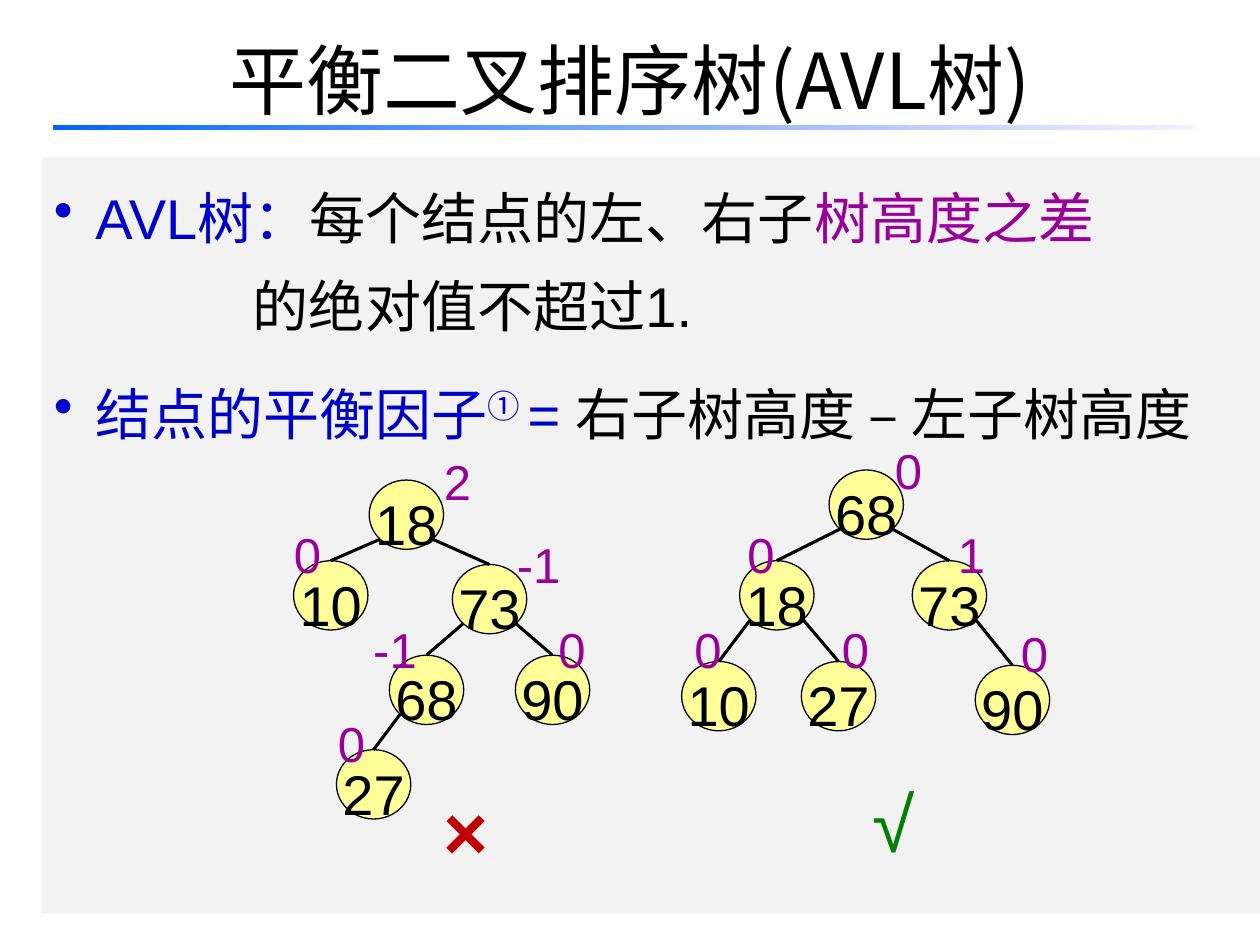
"""Build a slide on AVL trees with one unbalanced and one balanced example."""
from lxml import etree
from pptx import Presentation
from pptx import util as u
from pptx.dml.color import RGBColor
from pptx.enum import shapes, text
from pptx.oxml import ns

BLACK, BLUE, PURPLE = "000000", "0000CC", "990099"
NODE_WIDTH, NODE_HEIGHT = 0.59, 0.55


def rgb(value):
    return RGBColor.from_string(value)


def add_run(paragraph, words, size, color, font="Arial"):
    run = paragraph.add_run()
    run.text = words
    run.font.size = u.Pt(size)
    run.font.name = font
    run.font.color.rgb = rgb(color)
    return run


presentation = Presentation()
presentation.slide_width = u.Inches(10)
presentation.slide_height = u.Inches(7.5)
slide = presentation.slides.add_slide(presentation.slide_layouts[6])

title = slide.shapes.add_textbox(u.Inches(0.5), 0, u.Inches(9), u.Inches(1.25))
title.text_frame.word_wrap = True
title.text_frame.vertical_anchor = text.MSO_ANCHOR.MIDDLE
paragraph = title.text_frame.paragraphs[0]
paragraph.alignment = text.PP_ALIGN.CENTER
add_run(paragraph, "平衡二叉排序树(AVL树)", 44, BLACK, "Noto Sans CJK SC")

rule = slide.shapes.add_shape(
    shapes.MSO_SHAPE.RECTANGLE,
    u.Inches(0.42), u.Inches(0.99), u.Inches(9.05), u.Inches(0.04))
rule.shadow.inherit = False
rule.line.fill.background()
rule.fill.gradient()
rule.fill.gradient_angle = 0
for stop, color in zip(rule.fill.gradient_stops, ("0066FF", "F7EFFF")):
    stop.color.rgb = rgb(color)

panel = slide.shapes.add_shape(
    shapes.MSO_SHAPE.RECTANGLE,
    u.Inches(0.33), u.Inches(1.25), u.Inches(9.67), u.Inches(6))
panel.shadow.inherit = False
panel.line.fill.background()
panel.fill.solid()
panel.fill.fore_color.rgb = rgb("F2F2F2")
panel.text_frame.word_wrap = True
panel.text_frame.vertical_anchor = text.MSO_ANCHOR.TOP

definitions = [
    (True, [("AVL树：", BLUE), ("每个结点的左、右子", BLACK), ("树高度之差", PURPLE)]),
    (False, [("的绝对值不超过1.", BLACK)]),
    (True, [("结点的平衡因子", BLUE), ("① ", BLUE), ("= ", BLUE),
            ("右子树高度 – 左子树高度", BLACK)]),
]
for index, (bulleted, runs) in enumerate(definitions):
    frame = panel.text_frame
    paragraph = frame.add_paragraph() if index else frame.paragraphs[0]
    paragraph.alignment = text.PP_ALIGN.JUSTIFY
    paragraph.line_spacing = 1.3
    paragraph.space_before = u.Pt(12 if bulleted else 0)
    properties = paragraph._p.get_or_add_pPr()
    properties.set("marL", str(u.Inches(0.33 if bulleted else 1.58)))
    properties.set("indent", str(u.Inches(-0.33 if bulleted else 0)))
    if bulleted:
        etree.SubElement(properties, ns.qn("a:buChar")).set("char", "•")
    for words, color in runs:
        run = add_run(paragraph, words, 32, color)
        if words.startswith("①"):
            run.font._element.set("baseline", "30000")

trees = [
    {
        "nodes": {"18": (2.93, 3.81), "10": (2.33, 4.45), "73": (3.59, 4.48),
                  "68": (3.09, 5.2), "90": (4.09, 5.2), "27": (2.67, 5.95)},
        "edges": [("18", "10"), ("18", "73"), ("73", "68"), ("73", "90"), ("68", "27")],
        "factors": [("2", 3.42, 3.42), ("0", 2.23, 4), ("-1", 4, 4.08),
                    ("-1", 2.86, 4.75), ("0", 4.33, 4.75), ("0", 2.58, 5.5)],
        "verdict": ("×", 3.42, 5.99, 0.82, "C00000", True),
    },
    {
        "nodes": {"68": (6.58, 3.73), "18": (5.87, 4.45), "73": (7.24, 4.45),
                  "10": (5.41, 5.25), "27": (6.36, 5.25), "90": (7.74, 5.28)},
        "edges": [("68", "18"), ("68", "73"), ("18", "10"), ("18", "27"), ("73", "90")],
        "factors": [("0", 7, 3.33), ("0", 5.83, 4), ("1", 7.5, 4),
                    ("0", 5.41, 4.75), ("0", 6.58, 4.75), ("0", 8, 4.78)],
        "verdict": ("√", 6.83, 5.92, 0.54, "008000", False),
    },
]

for tree in trees:
    for key, (left, top) in tree["nodes"].items():
        node = slide.shapes.add_shape(
            shapes.MSO_SHAPE.OVAL, u.Inches(left), u.Inches(top),
            u.Inches(NODE_WIDTH), u.Inches(NODE_HEIGHT))
        node.shadow.inherit = False
        node.fill.solid()
        node.fill.fore_color.rgb = rgb("FFFF99")
        node.line.color.rgb = rgb(BLACK)
        node.line.width = u.Pt(0.75)
        node.text_frame.word_wrap = False
        node.text_frame.vertical_anchor = text.MSO_ANCHOR.MIDDLE
        paragraph = node.text_frame.paragraphs[0]
        paragraph.alignment = text.PP_ALIGN.CENTER
        paragraph.line_spacing = 1.25
        add_run(paragraph, key, 32, BLACK)

    for parent, child in tree["edges"]:
        parent_left, parent_top = tree["nodes"][parent]
        child_left, child_top = tree["nodes"][child]
        side = 0.21 if child_left > parent_left else -0.21
        edge = slide.shapes.add_connector(
            shapes.MSO_CONNECTOR.STRAIGHT,
            u.Inches(parent_left + NODE_WIDTH / 2 + side), u.Inches(parent_top + 0.47),
            u.Inches(child_left + NODE_WIDTH / 2), u.Inches(child_top))
        edge.line.color.rgb = rgb(BLACK)
        edge.line.width = u.Pt(1.75)
        etree.SubElement(edge._element.spPr, ns.qn("a:effectLst"))

    labels = [
        (factor, left, top, 0.55 if len(factor) > 1 else 0.42, 0.63,
         28, PURPLE, False, text.PP_ALIGN.CENTER)
        for factor, left, top in tree["factors"]
    ]
    mark, left, top, width, color, bold = tree["verdict"]
    labels.append((mark, left, top, width, 0.93, 44, color, bold, text.PP_ALIGN.LEFT))
    for words, left, top, width, height, size, color, bold, alignment in labels:
        label = slide.shapes.add_textbox(
            u.Inches(left), u.Inches(top), u.Inches(width), u.Inches(height))
        label.text_frame.word_wrap = False
        label.text_frame.auto_size = text.MSO_AUTO_SIZE.SHAPE_TO_FIT_TEXT
        paragraph = label.text_frame.paragraphs[0]
        paragraph.alignment = alignment
        paragraph.line_spacing = 1.25
        add_run(paragraph, words, size, color).font.bold = bold

presentation.save("out.pptx")
